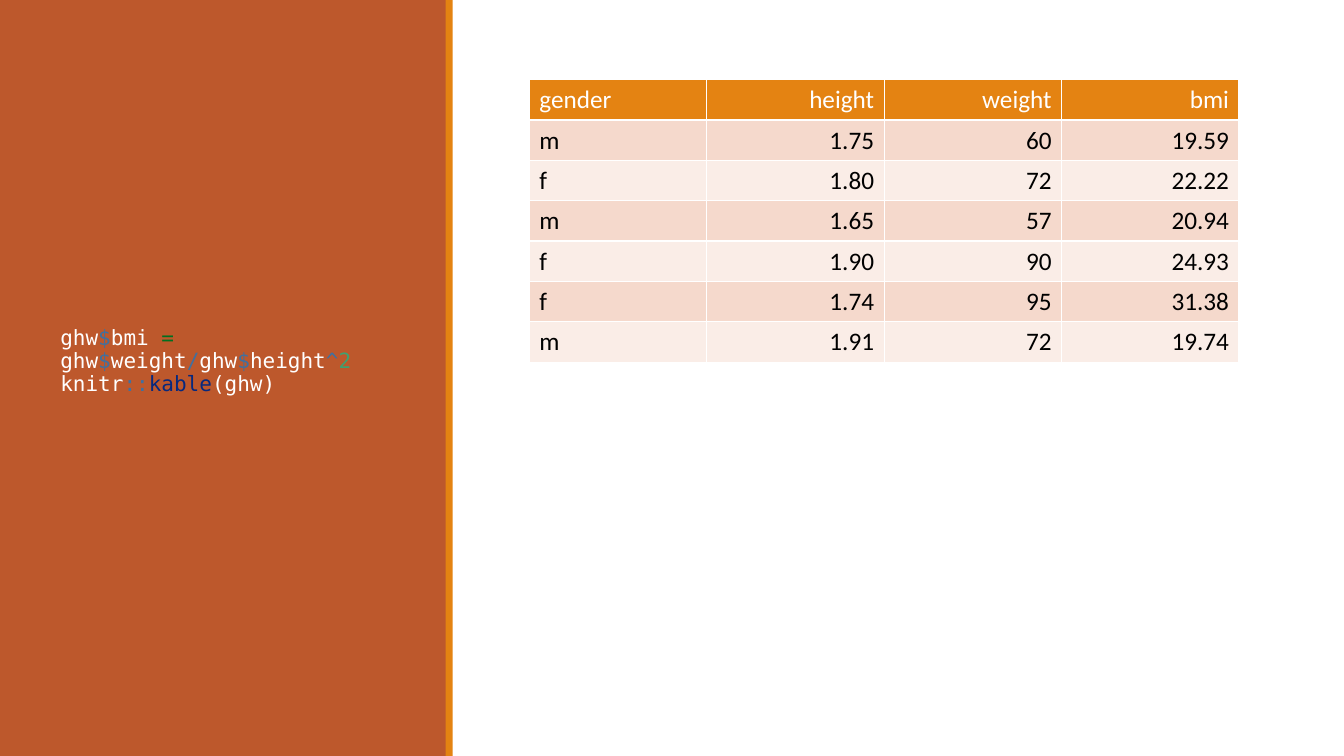
import pptx
import pptx.util
import pptx.dml.color
import pptx.enum.shapes
import pptx.enum.text
from lxml import etree
from pptx.util import Inches

THEME = {
    "rust": "BD582C", "orange": "E48312", "white": "FFFFFF", "black": "000000",
    "bands": ("F5D9CC", "FAEDE7"),
    "operator": "4070A0", "assign": "007020", "number": "40A070", "function": "06287E",
    "code": {"name": "DejaVu Sans Mono", "size": pptx.util.Pt(15)},
    "cell": {"name": "Calibri", "size": pptx.util.Pt(18), "bold": False},
}
A = "http://schemas.openxmlformats.org/drawingml/2006/main"


def add_run(p, text, font, color):
    r = p.add_run()
    r.text = text
    for name, value in font.items():
        setattr(r.font, name, value)
    r.font.color.rgb = pptx.dml.color.RGBColor.from_string(color)


def add_borders(cell, color, width):
    """Draw a solid line on all four sides; call before filling the cell."""
    tcPr = cell._tc.get_or_add_tcPr()
    for side in ("lnL", "lnR", "lnT", "lnB"):
        ln = etree.SubElement(tcPr, f"{{{A}}}{side}", w=str(width))
        fill = etree.SubElement(ln, f"{{{A}}}solidFill")
        etree.SubElement(fill, f"{{{A}}}srgbClr", val=color)


prs = pptx.Presentation()
prs.slide_width, prs.slide_height = Inches(13.33), Inches(7.5)
s = prs.slides.add_slide(prs.slide_layouts[6])

# Side panel and its edge
for left, width, color in ((0, 4.43, "rust"), (4.42, 0.07, "orange")):
    sp = s.shapes.add_shape(pptx.enum.shapes.MSO_SHAPE.RECTANGLE,
                            Inches(left), 0, Inches(width), prs.slide_height)
    sp.shadow.inherit = False
    sp.fill.solid()
    sp.fill.fore_color.rgb = pptx.dml.color.RGBColor.from_string(THEME[color])
    sp.line.fill.background()

# Code
code_lines = [
    [("ghw", "white"), ("$", "operator"), ("bmi ", "white"), ("=", "assign"),
     (" ghw", "white"), ("$", "operator"), ("weight", "white"), ("/", "operator"),
     ("ghw", "white"), ("$", "operator"), ("height", "white"), ("^", "operator"),
     ("2", "number")],
    [("knitr", "white"), ("::", "operator"), ("kable", "function"), ("(ghw)", "white")],
]
tf = s.shapes.add_textbox(Inches(0.5), Inches(3.2), Inches(3.5), Inches(3.7)).text_frame
tf.word_wrap = True
p = tf.paragraphs[0]
p.line_spacing = 0.9
p.space_before, p.space_after = pptx.util.Pt(12), pptx.util.Pt(2)
for i, line in enumerate(code_lines):
    if i:
        p.add_line_break()
    for text, color in line:
        add_run(p, text, THEME["code"], THEME[color])

# Table
rows = [
    ("gender", "height", "weight", "bmi"),
    ("m", "1.75", "60", "19.59"),
    ("f", "1.80", "72", "22.22"),
    ("m", "1.65", "57", "20.94"),
    ("f", "1.90", "90", "24.93"),
    ("f", "1.74", "95", "31.38"),
    ("m", "1.91", "72", "19.74"),
]
table = s.shapes.add_table(len(rows), len(rows[0]), Inches(5.25), Inches(0.79),
                           Inches(7.05), Inches(0.4 * len(rows))).table
for column in table.columns:
    column.width = Inches(1.76)
for i, row in enumerate(rows):
    fill = THEME["bands"][(i - 1) % 2] if i else THEME["orange"]
    color = THEME["black"] if i else THEME["white"]
    for j, text in enumerate(row):
        cell = table.cell(i, j)
        add_borders(cell, THEME["white"], pptx.util.Pt(1))
        cell.fill.solid()
        cell.fill.fore_color.rgb = pptx.dml.color.RGBColor.from_string(fill)
        p = cell.text_frame.paragraphs[0]
        if j:
            p.alignment = pptx.enum.text.PP_ALIGN.RIGHT
        add_run(p, text, THEME["cell"], color)

prs.save("out.pptx")
